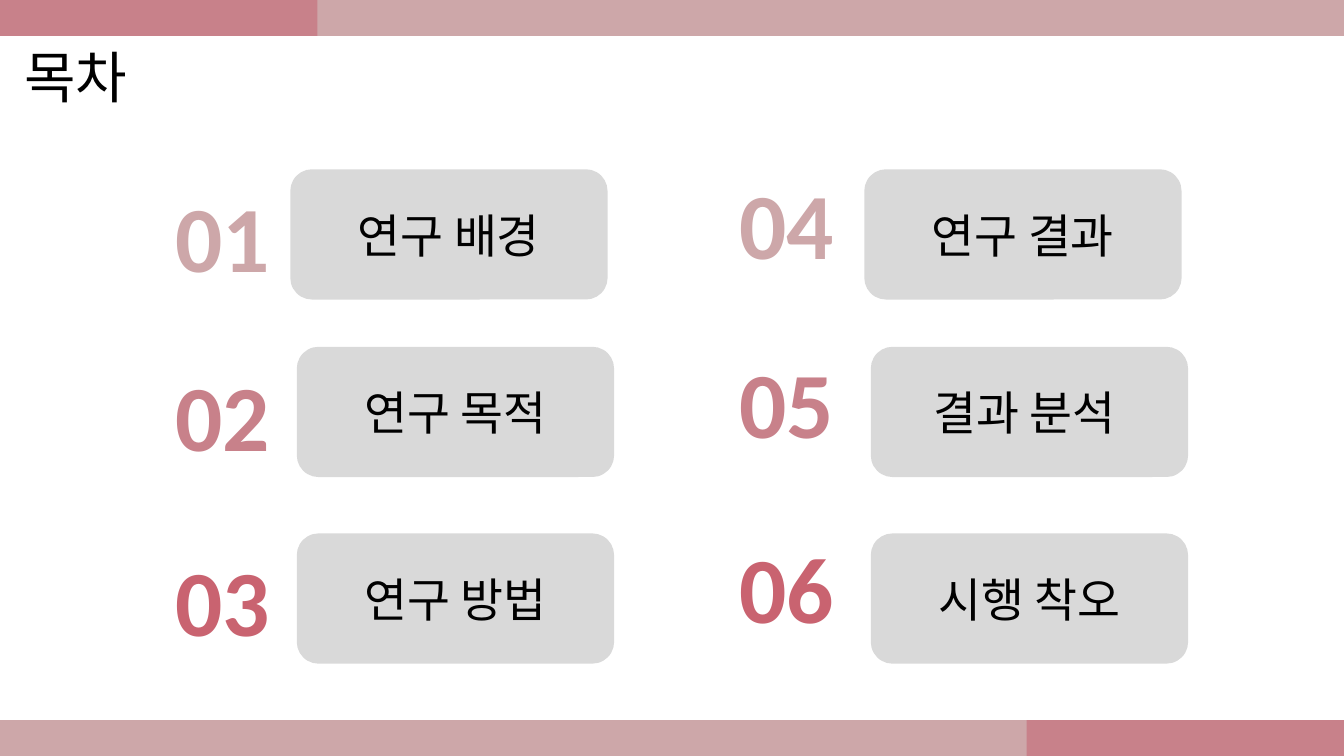
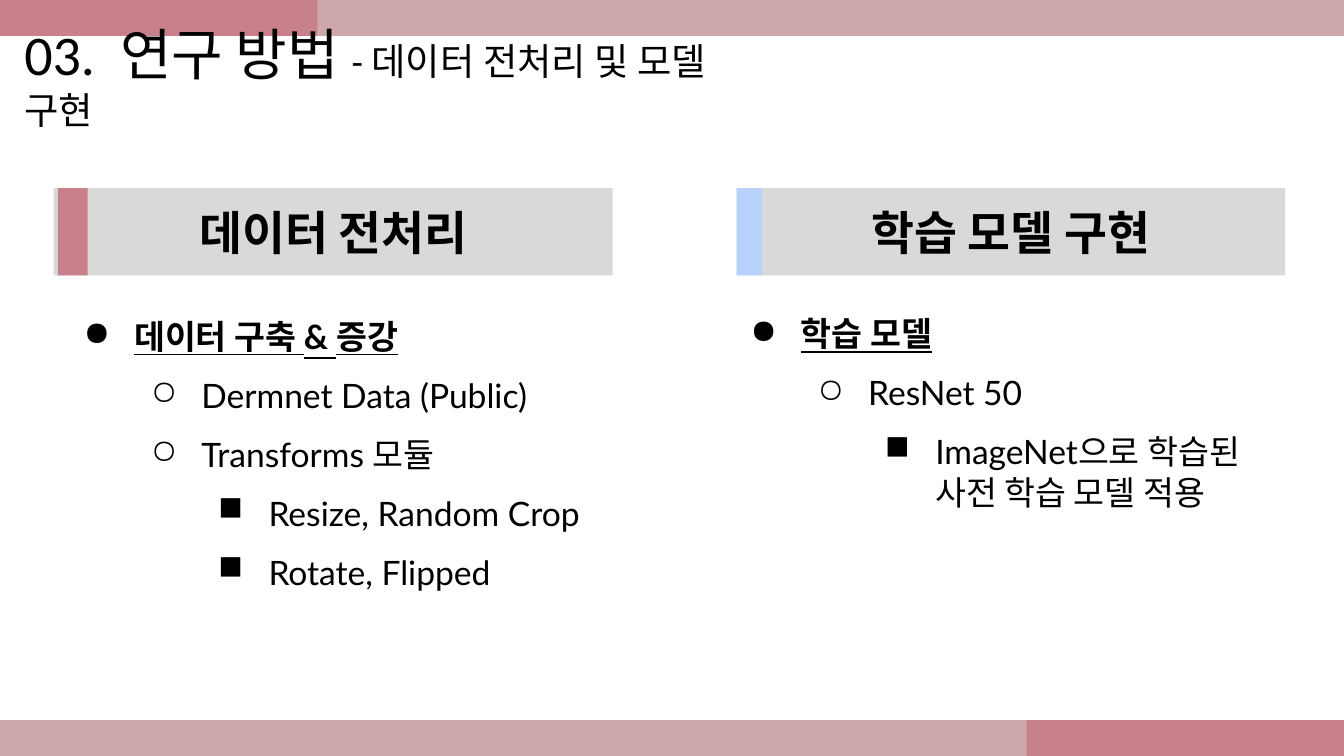
from lxml import etree
from pptx import Presentation
from pptx.dml.color import RGBColor
from pptx.enum import shapes, text
from pptx.oxml import ns
from pptx.util import Pt

# Colours and fonts
BLACK = RGBColor(0x00, 0x00, 0x00)
GREY = RGBColor(0xD9, 0xD9, 0xD9)
PALE_ROSE = RGBColor(0xCD, 0xA7, 0xA9)
ROSE = RGBColor(0xC8, 0x81, 0x8A)
DEEP_ROSE = RGBColor(0xC9, 0x63, 0x70)
SKY = RGBColor(0xB9, 0xD2, 0xFB)
HEAD_FONT, BODY_FONT = "Calibri", "Lato"

# Page geometry, in points
PAGE_W, PAGE_H = 720, 405
BAND_H, BAND_ACCENT_W = 19.2, 170
INSET = 7.2

# Content: title runs are (text, size)
CONTENTS_TITLE = [("목차", 30)]
METHOD_TITLE = [("03.  연구 방법 ", 30), ("- 데이터 전처리 및 모델 구현", 20)]

# Contents columns: number left, number top shift, card left, chapters
CHAPTER_COLUMNS = [
    (82.8, 0, 155.5, ["연구 배경", "연구 목적", "연구 방법"]),
    (385.2, -6.9, 463, ["연구 결과", "결과 분석 ", "시행 착오"]),
]
# Contents rows: card top, card shift right, number top, number colour
CHAPTER_ROWS = [
    (90.7, 0, 87.8, PALE_ROSE),
    (185.8, 3.5, 183.6, ROSE),
    (285.8, 3.5, 282.6, DEEP_ROSE),
]
CARD_W, CARD_H = 170, 69.8
NUMBER_W, NUMBER_H = 72.7, 76.3

# Method columns: heading box, tab (left, width, colour), list corner, (level, text)
METHOD_COLUMNS = [
    ("데이터 전처리", (28.8, 299.5), (31, 16, ROSE), (28.8, 162), [
        (0, "데이터 구축 & 증강"),
        (1, "Dermnet Data (Public)"),
        (1, "Transforms 모듈"),
        (2, "Resize, Random Crop"),
        (2, "Rotate, Flipped"),
    ]),
    ("학습 모델 구현", (394.6, 293.8), (394.6, 13.7, SKY), (386, 160.6), [
        (0, "학습 모델"),
        (1, "ResNet 50"),
        (2, "ImageNet으로 학습된 사전 학습 모델 적용"),
    ]),
]
HEADING_TOP, HEADING_H = 100.8, 46.8
LIST_W, LIST_H = 321, 188
BULLETS = "●○■"
LEVEL_INDENT, HANGING = 36, 27


def set_font(font, size, name=HEAD_FONT, color=BLACK, bold=False):
    font.size, font.name, font.bold = Pt(size), name, bold
    font.color.rgb = color


def set_frame(shape, anchor=text.MSO_ANCHOR.MIDDLE):
    frame = shape.text_frame
    frame.word_wrap = True
    frame.auto_size = text.MSO_AUTO_SIZE.NONE
    frame.vertical_anchor = anchor
    frame.margin_left = frame.margin_right = Pt(INSET)
    frame.margin_top = frame.margin_bottom = Pt(INSET)
    return frame


def add_block(slide, left, top, width, height, fill, kind=shapes.MSO_SHAPE.RECTANGLE):
    block = slide.shapes.add_shape(kind, Pt(left), Pt(top), Pt(width), Pt(height))
    block.shadow.inherit = False
    block.fill.solid()
    block.fill.fore_color.rgb = fill
    block.line.fill.background()
    return block


def add_textbox(slide, left, top, width, height):
    return slide.shapes.add_textbox(Pt(left), Pt(top), Pt(width), Pt(height))


def write_centred(shape, words, size, **style):
    paragraph = set_frame(shape).paragraphs[0]
    paragraph.text = words
    paragraph.alignment = text.PP_ALIGN.CENTER
    set_font(paragraph.font, size, **style)


def add_page(deck, title_runs, title_w):
    """Start a slide with the shared bands and title style."""
    slide = deck.slides.add_slide(deck.slide_layouts[5])
    bottom = PAGE_H - BAND_H
    add_block(slide, 0, bottom, PAGE_W, BAND_H, PALE_ROSE)
    add_block(slide, 0, 0, PAGE_W, BAND_H, PALE_ROSE)
    add_block(slide, 0, 0, BAND_ACCENT_W, BAND_H, ROSE)
    add_block(slide, PAGE_W - BAND_ACCENT_W, bottom, BAND_ACCENT_W, BAND_H, ROSE)

    title = slide.shapes.title
    title.left, title.top, title.width, title.height = Pt(5.8), Pt(5.8), Pt(title_w), Pt(69.8)
    paragraph = set_frame(title).paragraphs[0]
    paragraph.alignment = text.PP_ALIGN.LEFT
    for words, size in title_runs:
        run = paragraph.add_run()
        run.text = words
        set_font(run.font, size)
    # The title lies over the top band
    slide.shapes._spTree.append(title._element)
    return slide


def add_bullet(paragraph, level):
    props = paragraph._p.get_or_add_pPr()
    props.set("marL", str(Pt(LEVEL_INDENT * (level + 1))))
    props.set("indent", str(-Pt(HANGING)))
    color = etree.SubElement(props, ns.qn("a:buClr"))
    etree.SubElement(color, ns.qn("a:srgbClr")).set("val", str(BLACK))
    etree.SubElement(props, ns.qn("a:buChar")).set("char", BULLETS[level])


def add_list(slide, left, top, items):
    box = add_textbox(slide, left, top, LIST_W, LIST_H)
    frame = set_frame(box, text.MSO_ANCHOR.TOP)
    for i, (level, words) in enumerate(items):
        paragraph = frame.add_paragraph() if i else frame.paragraphs[0]
        paragraph.text = words
        paragraph.level = level
        add_bullet(paragraph, level)
        if i:
            paragraph.space_before = Pt(10)
        set_font(paragraph.font, 18, BODY_FONT, bold=level == 0)
        paragraph.font.underline = level == 0


def build_contents(deck):
    slide = add_page(deck, CONTENTS_TITLE, 454.3)
    number = 0
    for number_left, number_shift, card_left, chapters in CHAPTER_COLUMNS:
        for chapter, (card_top, card_shift, number_top, color) in zip(chapters, CHAPTER_ROWS):
            number += 1
            card = add_block(slide, card_left + card_shift, card_top, CARD_W, CARD_H,
                             GREY, shapes.MSO_SHAPE.ROUNDED_RECTANGLE)
            write_centred(card, chapter, 25)
            label = add_textbox(slide, number_left, number_top + number_shift,
                                NUMBER_W, NUMBER_H)
            write_centred(label, f"{number:02}", 50, color=color, bold=True)


def build_method(deck):
    slide = add_page(deck, METHOD_TITLE, 388.8)
    for heading, (left, width), (tab_left, tab_w, tab_color), corner, items in METHOD_COLUMNS:
        bar = add_block(slide, left, HEADING_TOP, width, HEADING_H, GREY)
        write_centred(bar, heading, 25, bold=True)
        add_block(slide, tab_left, HEADING_TOP, tab_w, HEADING_H, tab_color)
        add_list(slide, *corner, items)


def main():
    deck = Presentation()
    deck.slide_width, deck.slide_height = Pt(PAGE_W), Pt(PAGE_H)
    build_contents(deck)
    build_method(deck)
    deck.save("out.pptx")


if __name__ == "__main__":
    main()
